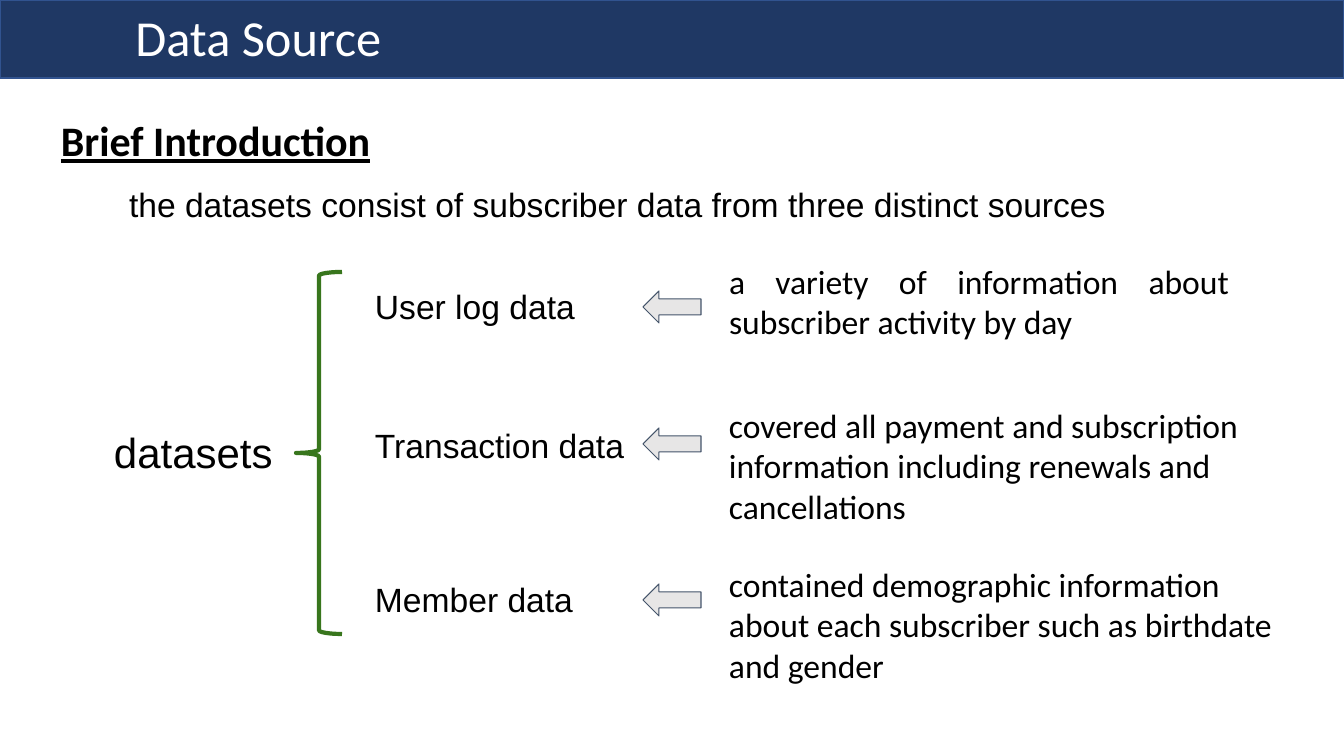
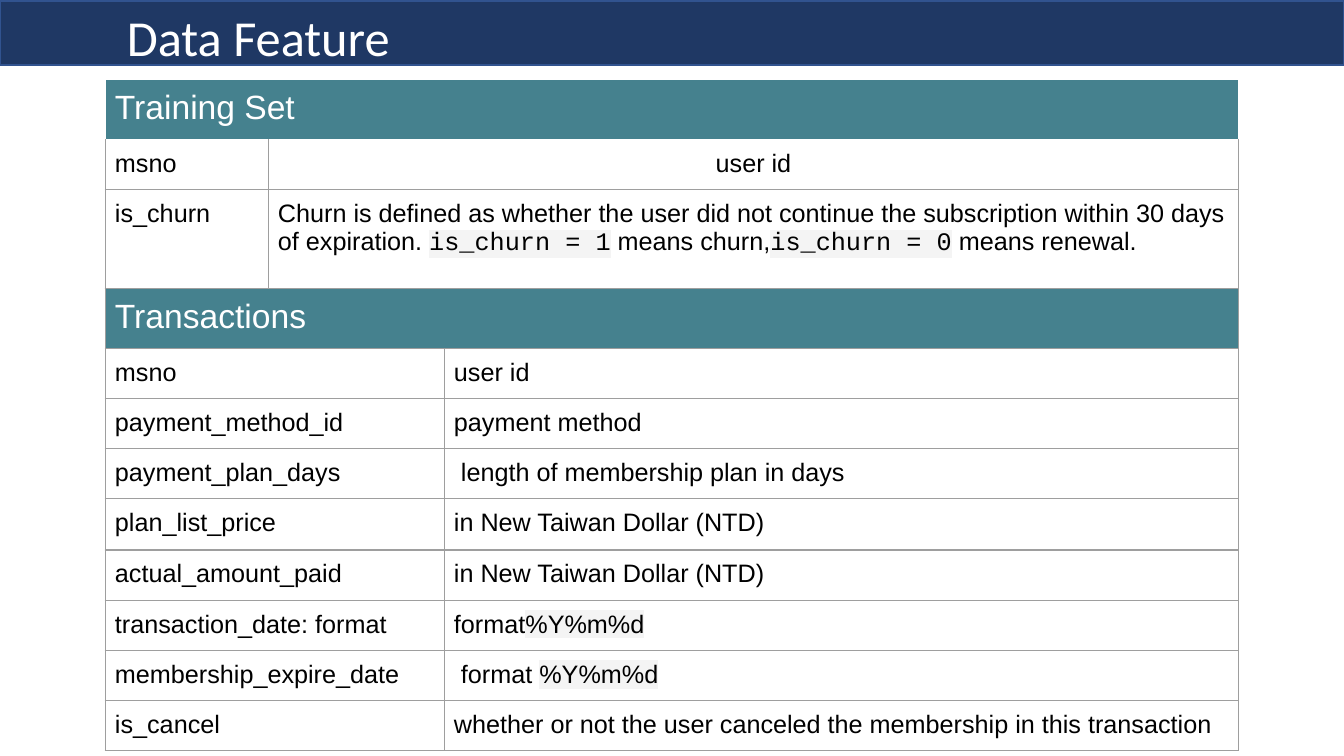
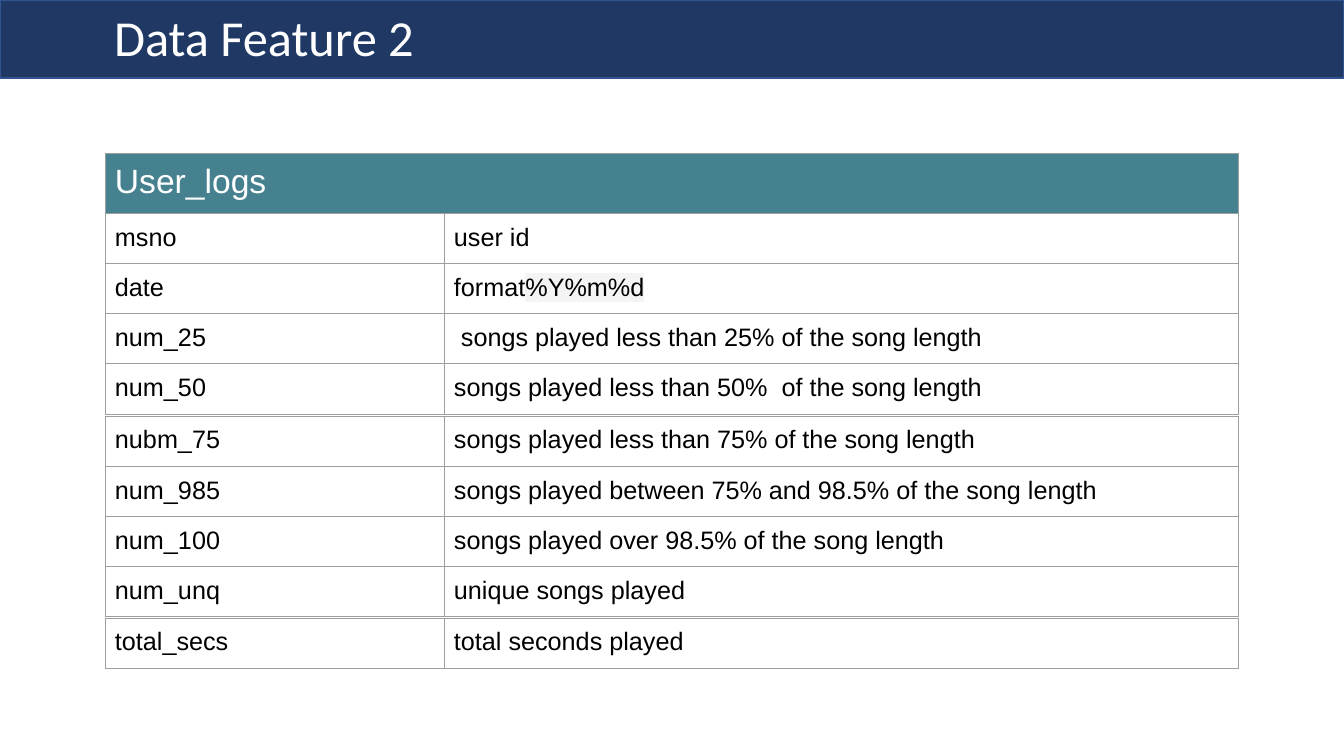
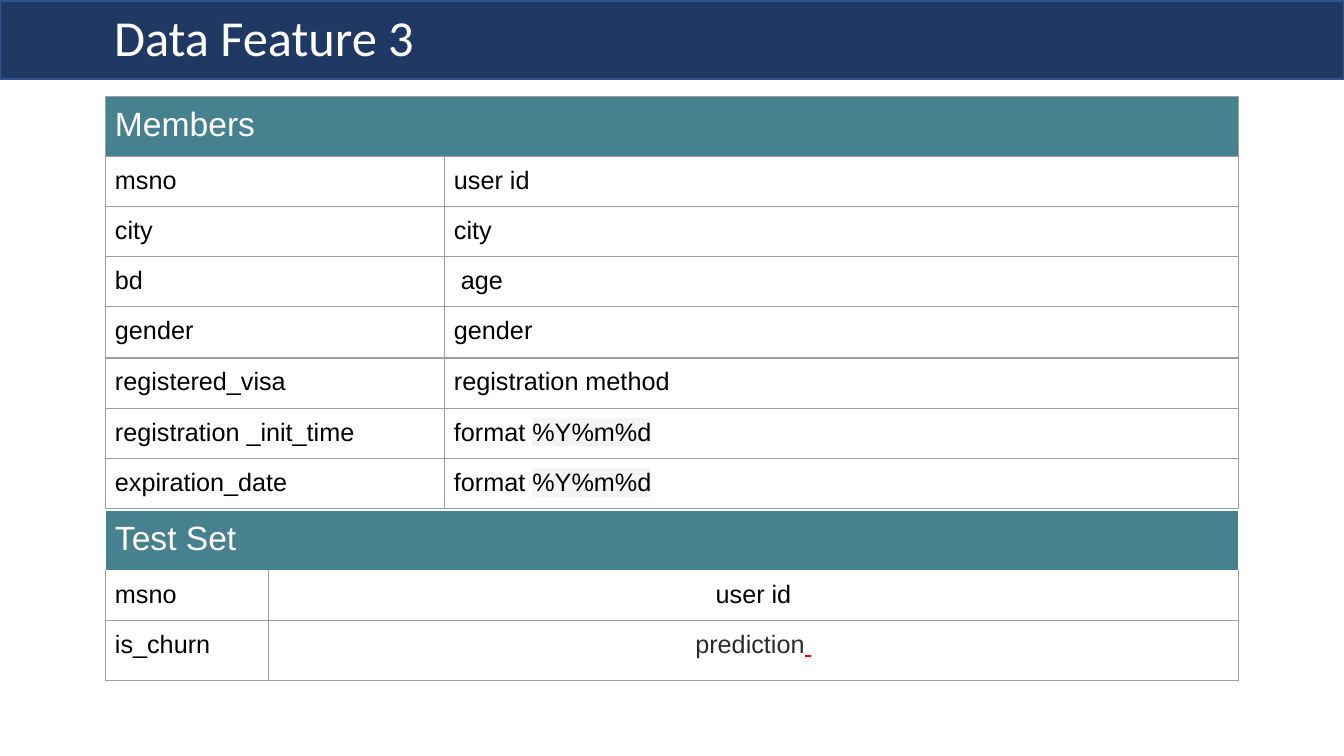
from lxml.etree import SubElement
from pptx import Presentation
from pptx.dml.color import RGBColor
from pptx.enum.shapes import MSO_SHAPE
from pptx.enum.text import MSO_ANCHOR, PP_ALIGN
from pptx.oxml.ns import qn
from pptx.util import Emu, Pt

EMU_PER_PX = 914400 / 100.8

NAVY = RGBColor(0x1F, 0x38, 0x64)
BAND_EDGE = RGBColor(0x31, 0x53, 0x8F)
TEAL = RGBColor(0x45, 0x81, 0x8E)
GREEN = RGBColor(0x38, 0x76, 0x1D)
SILVER = RGBColor(0xE7, 0xE6, 0xE6)
SLATE = RGBColor(0x44, 0x54, 0x6A)
GRID = RGBColor(0x9E, 0x9E, 0x9E)
SHADE = RGBColor(0xF4, 0xF4, 0xF4)
CHARCOAL = RGBColor(0x2A, 0x2B, 0x2B)
RED = RGBColor(0xFF, 0x00, 0x00)
WHITE = RGBColor(0xFF, 0xFF, 0xFF)
BLACK = RGBColor(0x00, 0x00, 0x00)

TITLE = dict(name="Calibri", size=Pt(36), color=WHITE)
HEADING = dict(name="Calibri", size=Pt(30), color=BLACK, bold=True, underline=True)
ROOT = dict(name="Arial", size=Pt(30), color=BLACK)
LABEL = dict(name="Arial", size=Pt(24), color=BLACK)
DETAIL = dict(name="Calibri", size=Pt(24), color=BLACK)
TABLE_HEAD = dict(name="Arial", size=Pt(24), color=WHITE)
TABLE_BODY = dict(name="Arial", size=Pt(18), color=BLACK)
SHADED = dict(highlight=SHADE)
CODE = dict(name="Courier New", highlight=SHADE)

TABLE_LEFT = 105
NARROW = (163, 971)
WIDE = (339, 795)
DATE = ("%Y%m%d", SHADED)
CENTER = PP_ALIGN.CENTER


def px(length):
    return Emu(round(length * EMU_PER_PX))


def add_colour(parent, tag, colour):
    """Append a tag that holds one solid colour and return it."""
    element = SubElement(parent, qn(tag))
    SubElement(element, qn("a:srgbClr"), val=str(colour))
    return element


def write(paragraph, content, style):
    """Fill a paragraph from a string or a list of (text, changes to the style)."""
    runs = [(content, {})] if isinstance(content, str) else content
    for text, changes in runs:
        run = paragraph.add_run()
        run.text = text
        look = {**style, **changes}
        highlight = look.pop("highlight", None)
        run.font.color.rgb = look.pop("color")
        for attribute, value in look.items():
            setattr(run.font, attribute, value)
        if highlight is not None:
            properties = run.font._element
            mark = add_colour(properties, "a:highlight", highlight)
            properties.find(qn("a:latin")).addprevious(mark)


class Deck:
    def __init__(self):
        self.presentation = Presentation()
        self.presentation.slide_width = px(1344)
        self.presentation.slide_height = px(756)

    def slide(self, title, band_top=0, band_height=78):
        layout = self.presentation.slide_layouts[6]
        self.shapes = self.presentation.slides.add_slide(layout).shapes
        self.shape(MSO_SHAPE.RECTANGLE, (0, band_top, 1344, band_height), BAND_EDGE, 1, NAVY)
        self.text((24, -1, 480, 83), title, TITLE, inset=5, align=CENTER,
                  anchor=MSO_ANCHOR.MIDDLE, spacing=0.9)

    def shape(self, kind, box, edge, weight, fill=None):
        shape = self.shapes.add_shape(kind, *map(px, box))
        shape.shadow.inherit = False
        shape.line.color.rgb = edge
        shape.line.width = Pt(weight)
        if fill is None:
            shape.fill.background()
        else:
            shape.fill.solid()
            shape.fill.fore_color.rgb = fill
        return shape

    def text(self, box, content, style, inset=10, align=PP_ALIGN.LEFT,
             anchor=MSO_ANCHOR.TOP, spacing=1.0):
        frame = self.shapes.add_textbox(*map(px, box)).text_frame
        layout = dict(word_wrap=True, vertical_anchor=anchor, margin_left=px(10),
                      margin_right=px(10), margin_top=px(inset), margin_bottom=px(inset))
        for attribute, value in layout.items():
            setattr(frame, attribute, value)
        paragraph = frame.paragraphs[0]
        paragraph.alignment = align
        paragraph.line_spacing = spacing
        write(paragraph, content, style)

    def table(self, top, widths, rows, heading=None, heading_edge=GRID, last_height=48):
        """Rows are (name, meaning) or (name, meaning, alignment of the meaning)."""
        heights = [48] * (len(rows) - 1) + [last_height]
        if heading:
            rows = [(heading, ""), *rows]
            heights = [57, *heights]
        table = self.shapes.add_table(
            len(rows), 2, px(TABLE_LEFT), px(top), px(sum(widths)), px(sum(heights))).table
        table.first_row = table.horz_banding = False
        for column, width in zip(table.columns, widths):
            column.width = px(width)
        for index, (height, (name, meaning, *align)) in enumerate(zip(heights, rows)):
            is_heading = bool(heading) and index == 0
            table.rows[index].height = px(height)
            edge = heading_edge if is_heading else GRID
            top_edge = heading_edge if index < 2 else GRID
            alignments = [PP_ALIGN.LEFT, *(align or [PP_ALIGN.LEFT])]
            for column, content in enumerate((name, meaning)):
                cell = table.cell(index, column)
                self.cell(cell, TEAL if is_heading else None, (edge, edge, top_edge, edge))
                if content:
                    paragraph = cell.text_frame.paragraphs[0]
                    paragraph.alignment = alignments[column]
                    write(paragraph, content, TABLE_HEAD if is_heading else TABLE_BODY)
        if heading:
            table.cell(0, 0).merge(table.cell(0, 1))

    def cell(self, cell, fill, edges):
        """Set margins, fill and the left, right, top and bottom edges."""
        for side in ("left", "right", "top", "bottom"):
            setattr(cell, f"margin_{side}", px(10))
        if fill is None:
            cell.fill.background()
        else:
            cell.fill.solid()
            cell.fill.fore_color.rgb = fill
        properties = cell._tc.get_or_add_tcPr()
        for position, (side, colour) in enumerate(zip("LRTB", edges)):
            line = SubElement(properties, qn(f"a:ln{side}"), w=str(Pt(0.75)))
            add_colour(line, "a:solidFill", colour)
            properties.insert(position, line)


def data_source(deck):
    deck.slide("Data Source ")
    deck.text((51, 105, 397, 58), "Brief Introduction", HEADING)
    deck.text((104, 411, 204, 67), "datasets", ROOT, spacing=1.1)
    deck.text((119, 170, 1002, 58),
              "the datasets consist of subscriber data from three distinct sources",
              LABEL, spacing=1.1)
    brace = deck.shape(MSO_SHAPE.LEFT_BRACE, (296, 272, 46, 362), GREEN, 3)
    brace.adjustments[0] = 0.08
    sources = [
        (272, 291, 251, 520, PP_ALIGN.JUSTIFY, "User log data",
         "a variety of information about subscriber activity by day"),
        (411, 428, 395, 594, PP_ALIGN.LEFT, "Transaction data",
         "covered all payment and subscription information including renewals "
         "and cancellations"),
        (565, 584, 554, 594, PP_ALIGN.LEFT, "Member data",
         "contained demographic information about each subscriber such as "
         "birthdate and gender"),
    ]
    for label_top, arrow_top, detail_top, detail_width, align, label, detail in sources:
        deck.text((365, label_top, 383, 67), label, LABEL, spacing=1.1)
        deck.text((719, detail_top, detail_width, 122), detail, DETAIL, align=align)
        deck.shape(MSO_SHAPE.LEFT_ARROW, (643, arrow_top, 58, 32), SLATE, 0.75, SILVER)


def data_feature(deck):
    deck.slide("Data Feature ", band_top=1, band_height=64)
    churn = [
        ("Churn is defined as whether the user did not continue the subscription "
         "within 30 days of expiration. ", {}),
        ("is_churn = 1", CODE), (" means churn,", {}),
        ("is_churn = 0", CODE), (" means renewal.", {}),
    ]
    deck.table(79, NARROW, [("msno", "user id", CENTER), ("is_churn", churn)],
               "Training Set", WHITE, last_height=99)
    deck.table(288, WIDE, [
        ("msno", "user id"),
        ("payment_method_id", "payment method"),
        ("payment_plan_days", " length of membership plan in days"),
        ("plan_list_price", "in New Taiwan Dollar (NTD)"),
    ], "Transactions")
    deck.table(550, WIDE, [
        ("actual_amount_paid", "in New Taiwan Dollar (NTD)"),
        ("transaction_date: format", [("format", {}), DATE]),
        ("membership_expire_date", [(" format ", {}), DATE]),
        ("is_cancel", "whether or not the user canceled the membership in this transaction"),
    ])


def data_feature_2(deck):
    deck.slide("Data Feature 2")
    deck.table(153, WIDE, [
        ("msno", "user id"),
        ("date", [("format", {}), DATE]),
        ("num_25", " songs played less than 25% of the song length"),
        ("num_50", "songs played less than 50%  of the song length"),
    ], "User_logs")
    deck.table(416, WIDE, [
        ("nubm_75", "songs played less than 75% of the song length"),
        ("num_985", "songs played between 75% and 98.5% of the song length"),
        ("num_100", "songs played over 98.5% of the song length"),
        ("num_unq", "unique songs played"),
    ])
    deck.table(618, WIDE, [("total_secs", "total seconds played")])


def data_feature_3(deck):
    deck.slide("Data Feature 3", band_top=1)
    deck.table(96, WIDE, [
        ("msno", "user id"),
        ("city", "city"),
        ("bd", " age"),
        ("gender", "gender"),
    ], "Members")
    deck.table(358, WIDE, [
        ("registered_visa", "registration method"),
        ("registration _init_time", [("format ", {}), DATE]),
        ("expiration_date", [("format ", {}), DATE]),
    ])
    prediction = [("prediction", dict(color=CHARCOAL)), (" ", dict(color=RED, underline=True))]
    deck.table(510, NARROW,
               [("msno", "user id", CENTER), ("is_churn", prediction, CENTER)],
               "Test Set", WHITE, last_height=60)


def main():
    deck = Deck()
    for build in (data_source, data_feature, data_feature_2, data_feature_3):
        build(deck)
    deck.presentation.save("out.pptx")


if __name__ == "__main__":
    main()
